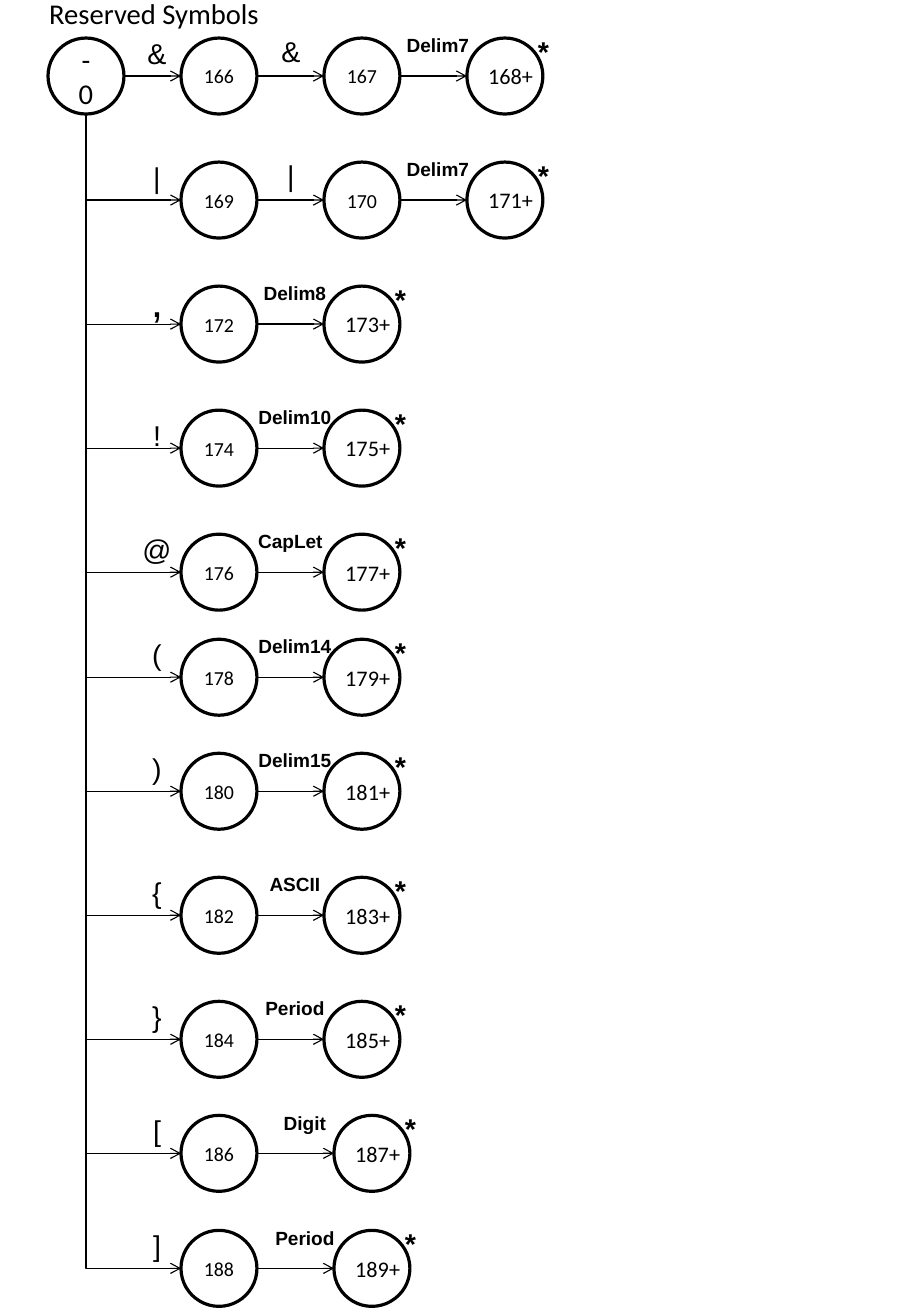
from lxml import etree
from pptx import Presentation
from pptx.dml.color import RGBColor
from pptx.enum.shapes import MSO_CONNECTOR, MSO_SHAPE
from pptx.enum.text import MSO_ANCHOR, MSO_AUTO_SIZE, PP_ALIGN
from pptx.oxml.ns import qn
from pptx.util import Inches, Pt

STRAIGHT, ELBOW = MSO_CONNECTOR.STRAIGHT, MSO_CONNECTOR.ELBOW
OVAL = MSO_SHAPE.OVAL
MIDDLE, GROW = MSO_ANCHOR.MIDDLE, MSO_AUTO_SIZE.SHAPE_TO_FIT_TEXT
LEFT, CENTER = PP_ALIGN.LEFT, PP_ALIGN.CENTER

PIXEL = Inches(1) / 114.4
COLORS = {"ink": "000000", "paper": "FFFFFF"}
SIZE = 76
RADIUS = SIZE // 2
START_X, STATE_X, STEP = 48, 181, 143
TRUNK_X = START_X + RADIUS

FORMATS = {
    "start": {"name": "Calibri", "size": Pt(18)},
    "state": {"name": "Calibri", "size": Pt(12.5)},
    "accept": {"name": "Calibri", "size": Pt(14)},
    "symbol": {"name": "Arial", "size": Pt(18)},
    "comma": {"name": "Arial", "size": Pt(28)},
    "delimiter": {"name": "Arial", "size": Pt(12), "bold": True},
    "star": {"name": "Arial", "size": Pt(18), "bold": True},
}

# Each row: top, symbol, symbol offset, symbol format, delimiter, states, final shift
ROWS = [
    (38, "&", -8, "symbol", "Delim7", ["166", "167", "168+"], 0),
    (162, "|", -8, "symbol", "Delim7", ["169", "170", "171+"], 0),
    (286, ",", -19, "comma", "Delim8", ["172", "173+"], 0),
    (410, "!", 2, "symbol", "Delim10", ["174", "175+"], 0),
    (534, "@", -8, "symbol", "CapLet", ["176", "177+"], 0),
    (639, "(", -8, "symbol", "Delim14", ["178", "179+"], 0),
    (753, ")", -8, "symbol", "Delim15", ["180", "181+"], 0),
    (877, "{", -8, "symbol", "ASCII", ["182", "183+"], 0),
    (1001, "}", -8, "symbol", "Period", ["184", "185+"], 0),
    (1115, "[", -8, "symbol", "Digit", ["186", "187+"], 10),
    (1230, "]", -8, "symbol", "Period", ["188", "189+"], 10),
]


def emu(*pixels):
    """Turn pixel lengths into EMU."""
    return [round(value * PIXEL) for value in pixels]


def color(name):
    """Look up a named colour."""
    return RGBColor.from_string(COLORS[name])


def write(frame, lines, kind, align):
    """Fill a text frame with formatted lines."""
    frame.word_wrap = True
    for index, line in enumerate(lines):
        para = frame.add_paragraph() if index else frame.paragraphs[0]
        para.alignment = align
        span = para.add_run()
        span.text = line
        for key, value in FORMATS[kind].items():
            setattr(span.font, key, value)
        span.font.color.rgb = color("ink")


def label(page, place, text, kind, align=CENTER):
    """Add a text box that grows with its text."""
    box = page.shapes.add_textbox(*emu(*place))
    write(box.text_frame, [text], kind, align)
    box.text_frame.auto_size = GROW


def circle(page, x, y, lines=(), kind="state"):
    """Add a state circle with optional text."""
    node = page.shapes.add_shape(OVAL, *emu(x, y, SIZE, SIZE))
    node.shadow.inherit = False
    node.fill.solid()
    node.fill.fore_color.rgb = color("paper")
    node.line.color.rgb = color("ink")
    node.line.width = Pt(2)
    node.text_frame.vertical_anchor = MIDDLE
    write(node.text_frame, lines, kind, CENTER)


def finish_arrow(arrow):
    """Give a connector its line and open arrowhead."""
    arrow.line.color.rgb = color("ink")
    arrow.line.width = Pt(0.75)
    etree.SubElement(arrow.line._get_or_add_ln(), qn("a:tailEnd"), type="arrow")
    etree.SubElement(arrow._element.spPr, qn("a:effectLst"))


def transition(page, start, end, y):
    """Add a horizontal arrow between two states."""
    finish_arrow(page.shapes.add_connector(STRAIGHT, *emu(start, y, end, y)))


def branch(page, start_y, y):
    """Add an arrow that drops from the start state and turns right."""
    run, drop = STATE_X - TRUNK_X, y - start_y
    middle_x, middle_y = TRUNK_X + run / 2, start_y + drop / 2
    arrow = page.shapes.add_connector(ELBOW, *emu(
        middle_x + drop / 2, middle_y - run / 2,
        middle_x - drop / 2, middle_y + run / 2))
    properties = arrow._element.spPr
    properties.find(qn("a:xfrm")).set("rot", "16200000")
    properties.find(qn("a:prstGeom")).set("prst", "bentConnector2")
    finish_arrow(arrow)


def accept(page, x, y, text, delimiter):
    """Add an accepting state with its delimiter and star."""
    label(page, (x - 86, y - 10, 105 if delimiter == "CapLet" else 114, 34),
          delimiter, "delimiter")
    circle(page, x, y)
    label(page, (x + 48, y - 10, 57, 46), "*", "star")
    label(page, (x + 10, y + 19, 76, 39), text, "accept", LEFT)


def draw_row(page, top, symbol, offset, kind, delimiter, states, shift):
    """Draw the chain of states for one symbol."""
    middle = top + RADIUS
    if top == ROWS[0][0]:
        transition(page, START_X + SIZE, STATE_X, middle)
    else:
        start_row = 1 if top == ROWS[-1][0] else 0
        branch(page, 229 if start_row else ROWS[0][0] + SIZE, middle)
    label(page, (114, top + offset, 86, 46), symbol, kind)
    last = len(states) - 1
    for index, state in enumerate(states):
        x = STATE_X + index * STEP + (shift if index == last else 0)
        if index:
            transition(page, STATE_X + (index - 1) * STEP + SIZE, x, middle)
        if index == last:
            accept(page, x, top, state, delimiter)
            continue
        circle(page, x, top, [state])
        if index:
            label(page, (248, top - 10, 86, 46), symbol, kind)


def main():
    """Build the slide and save it."""
    deck = Presentation()
    deck.slide_width, deck.slide_height = Inches(8), Inches(11.5)
    page = deck.slides.add_slide(deck.slide_layouts[6])
    label(page, (38, -10, 238, 46), "Reserved Symbols", "start", LEFT)
    circle(page, START_X, ROWS[0][0], ["-", "0"], "start")
    for row in ROWS:
        draw_row(page, *row)
    deck.save("out.pptx")


main()
